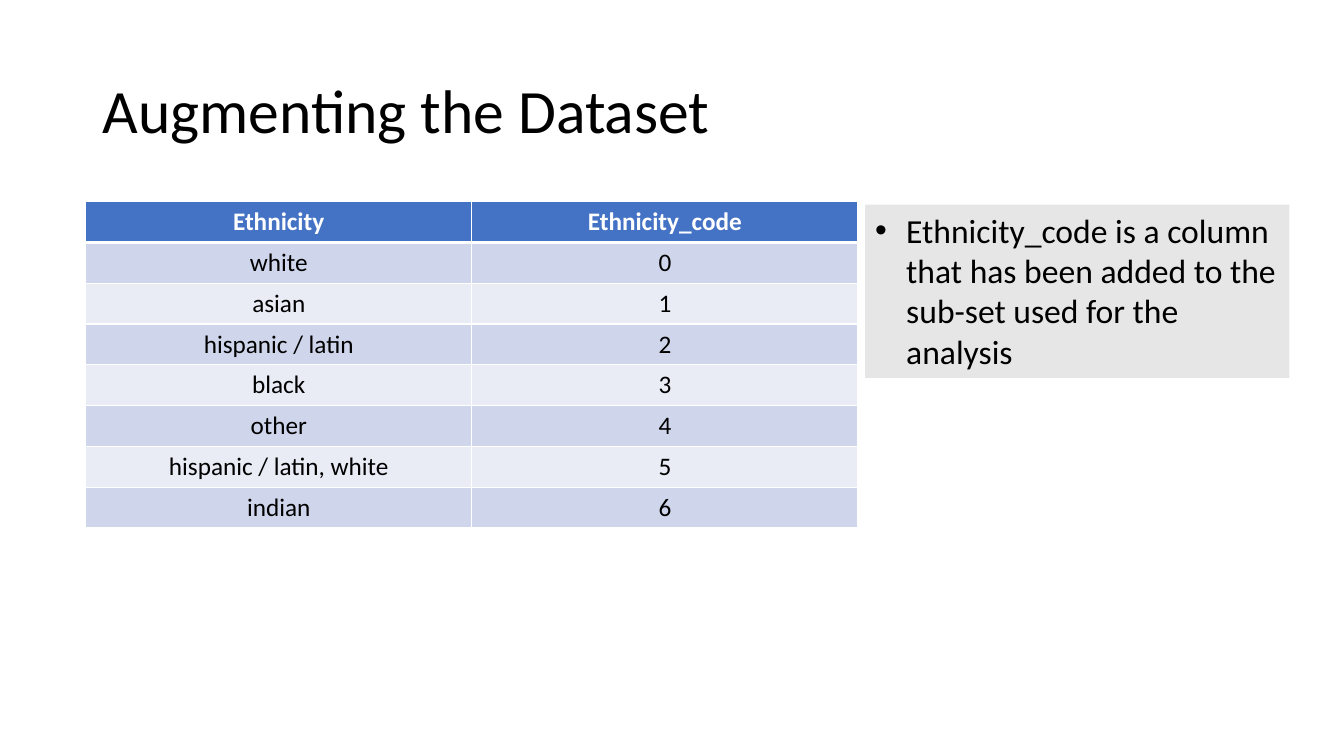
from lxml.etree import SubElement
from pptx import Presentation
from pptx.dml.color import RGBColor
from pptx.enum.shapes import MSO_SHAPE
from pptx.enum.text import MSO_ANCHOR, PP_ALIGN
from pptx.oxml.ns import qn
from pptx.util import Inches, Pt

BLACK = RGBColor(0x00, 0x00, 0x00)
WHITE = RGBColor(0xFF, 0xFF, 0xFF)
HEADER_BLUE = RGBColor(0x44, 0x72, 0xC4)
BANDS = [RGBColor(0xE9, 0xEB, 0xF5), RGBColor(0xCF, 0xD5, 0xEA)]
NOTE_GREY = RGBColor(0xE7, 0xE6, 0xE6)

COLUMN_WIDTH = Inches(3.83)
ROW_HEIGHT = Inches(0.405)
TABLE_LEFT, TABLE_TOP = Inches(0.85), Inches(2)
RULE, HEADER_RULE = Pt(1), Pt(3)
BULLET_INDENT = Inches(0.31)


def write(paragraph, text, size, color=BLACK, bold=False):
    """Put one formatted run of text into a paragraph."""
    run = paragraph.add_run()
    run.text = text
    run.font.color.rgb = color
    for setting, value in {"name": "Calibri", "size": Pt(size), "bold": bold}.items():
        setattr(run.font, setting, value)


def add_border(cell, side, width):
    """Draw one white edge of a table cell; call before filling the cell."""
    edge = SubElement(cell._tc.get_or_add_tcPr(), qn(f"a:ln{side}"), w=str(width))
    SubElement(SubElement(edge, qn("a:solidFill")), qn("a:srgbClr"), val=str(WHITE))


deck = Presentation()
deck.slide_width, deck.slide_height = Inches(13.33), Inches(7.5)
slide = deck.slides.add_slide(deck.slide_layouts[6])

# Title
heading = slide.shapes.add_textbox(
    Inches(0.92), Inches(0.4), Inches(11.5), Inches(1.45)).text_frame
heading.word_wrap = True
heading.vertical_anchor = MSO_ANCHOR.MIDDLE
heading.paragraphs[0].line_spacing = 0.9
write(heading.paragraphs[0], "Augmenting the Dataset", 44)

# Ethnicity codes: each group is numbered by its place in the list
groups = ["white", "asian", "hispanic / latin", "black", "other",
          "hispanic / latin, white", "indian"]
rows = [("Ethnicity", "Ethnicity_code")]
rows += [(group, str(code)) for code, group in enumerate(groups)]

codes = slide.shapes.add_table(
    len(rows), 2, TABLE_LEFT, TABLE_TOP, 2 * COLUMN_WIDTH, len(rows) * ROW_HEIGHT).table
for column in codes.columns:
    column.width = COLUMN_WIDTH
for r, entries in enumerate(rows):
    codes.rows[r].height = ROW_HEIGHT
    is_header = r == 0
    edges = {"L": RULE, "R": RULE,
             "T": HEADER_RULE if r == 1 else RULE,
             "B": HEADER_RULE if is_header else RULE}
    for c, entry in enumerate(entries):
        cell = codes.cell(r, c)
        for side, width in edges.items():
            add_border(cell, side, width)
        cell.fill.solid()
        cell.fill.fore_color.rgb = HEADER_BLUE if is_header else BANDS[r % 2]
        label = cell.text_frame.paragraphs[0]
        label.alignment = PP_ALIGN.CENTER
        write(label, entry, 18, WHITE if is_header else BLACK, is_header)

# Explanation beside the table
explanation = slide.shapes.add_shape(
    MSO_SHAPE.RECTANGLE, Inches(8.58), Inches(2.03), Inches(4.21), Inches(1.72))
explanation.shadow.inherit = False
explanation.fill.solid()
explanation.fill.fore_color.rgb = NOTE_GREY
explanation.line.fill.background()
explanation.text_frame.word_wrap = True
explanation.text_frame.vertical_anchor = MSO_ANCHOR.TOP
point = explanation.text_frame.paragraphs[0]
point.alignment = PP_ALIGN.LEFT
properties = point._p.get_or_add_pPr()
properties.set("marL", str(BULLET_INDENT))
properties.set("indent", str(-BULLET_INDENT))
SubElement(properties, qn("a:buFont"), typeface="Arial")
SubElement(properties, qn("a:buChar"), char="•")
write(point, "Ethnicity_code is a column that has been added to the "
             "sub-set used for the analysis", 24)

deck.save("out.pptx")
